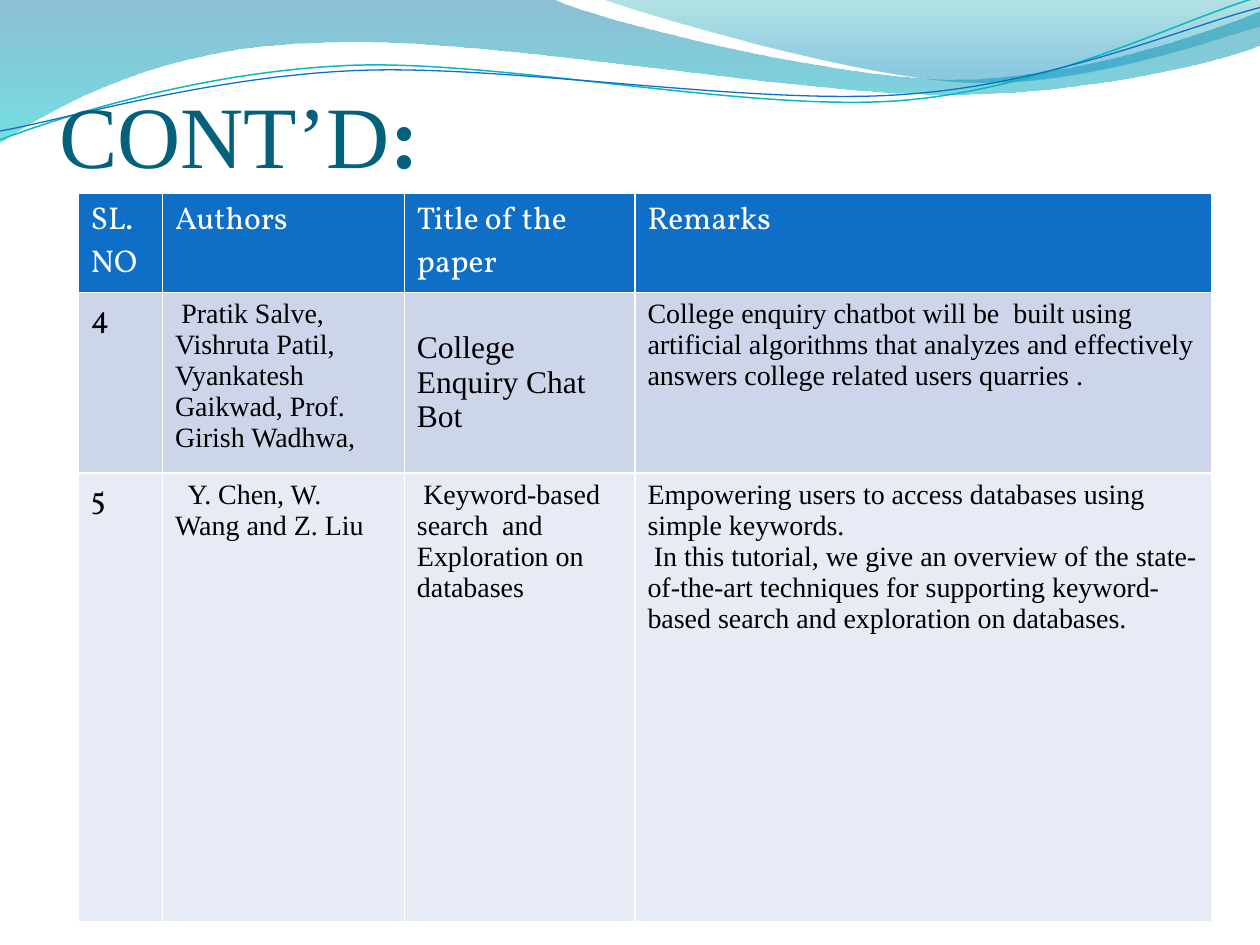
import pptx
import pptx.dml.color
import pptx.enum.text
import pptx.oxml
import pptx.oxml.ns
import pptx.util
from lxml import etree

SERIF, HEAD = "Times New Roman", "Vollkorn"
WHITE, BLACK, BLUE = "FFFFFF", "000000", "0F6FC6"
COLUMNS, ROWS = 10, 7.5


def rgb(value):
    """Turn a hex string into a colour."""
    return pptx.dml.color.RGBColor.from_string(value)


def child(parent, tag, **attrs):
    """Append a DrawingML element."""
    return etree.SubElement(parent, pptx.oxml.ns.qn(tag), **attrs)


class Deck:
    """Holds the style and the current slide on a grid of 10 by 7.5 units."""

    def __init__(self):
        """Start a presentation with one blank slide."""
        self.prs = pptx.Presentation()
        self.prs.slide_width = self.unit(COLUMNS)
        self.prs.slide_height = self.unit(ROWS)
        self.slide = self.prs.slides.add_slide(self.prs.slide_layouts[6])

    def unit(self, count):
        """Convert grid units to a length."""
        return pptx.util.Inches(count)

    def font(self, font, size, color, name=SERIF):
        """Style a font."""
        font.name, font.size, font.bold = name, pptx.util.Pt(size), False
        font.color.rgb = rgb(color)

    def curve(self, start, segments, closed=False):
        """Draw an outline where six numbers make a curve and two a line."""
        numbers = [round(n * 100) for segment in (start, *segments) for n in segment]
        points = list(zip(numbers[::2], numbers[1::2]))
        builder = self.slide.shapes.build_freeform(*points[0], scale=self.unit(0.01))
        builder.add_line_segments(points[1:], close=closed)
        sp = builder.convert_to_shape()
        sp.shadow.inherit = False
        lines = iter(list(sp._element.iter(pptx.oxml.ns.qn("a:lnTo"))))
        for segment in segments:
            line = next(lines)
            if len(segment) == 6:
                bend = etree.Element(pptx.oxml.ns.qn("a:cubicBezTo"))
                line.addprevious(bend)
                for part in (line, next(lines), next(lines)):
                    bend.append(part[0])
                    part.getparent().remove(part)
        return sp

    def wave(self, start, segments, stops):
        """Draw a closed wave with a vertical translucent gradient."""
        sp = self.curve(start, segments, True)
        sp.line.fill.background()
        sp.fill.gradient()
        sp.fill.gradient_angle = 270
        for stop, (position, color, opacity) in zip(sp.fill.gradient_stops, stops):
            stop.position, stop.color.rgb = position, rgb(color)
        colors = sp._element.spPr.iter(pptx.oxml.ns.qn("a:srgbClr"))
        for element, (position, color, opacity) in zip(colors, stops):
            child(element, "a:alpha", val=str(opacity * 1000))

    def ribbon(self, start, segments, color, width):
        """Draw a thin open curve."""
        sp = self.curve(start, segments)
        sp.fill.background()
        sp.line.color.rgb, sp.line.width = rgb(color), pptx.util.Pt(width)

    def title(self, box, text, ending):
        """Write the title with a bold ending."""
        tf = self.slide.shapes.add_textbox(*map(self.unit, box)).text_frame
        tf.word_wrap = True
        tf.vertical_anchor = pptx.enum.text.MSO_ANCHOR.BOTTOM
        tf.margin_left = tf.margin_right = tf.margin_bottom = 0
        p = tf.paragraphs[0]
        for part in (text, ending):
            r = p.add_run()
            r.text = part
            self.font(r.font, 50, "04617B")
            r.font.bold = part == ending

    def cell(self, cell, text, fill, color, size, name):
        """Fill, border and write one table cell."""
        cell.fill.solid()
        cell.fill.fore_color.rgb = rgb(fill)
        properties = cell._tc.get_or_add_tcPr()
        for index, side in enumerate("LRTB"):
            line = pptx.oxml.parse_xml(f'<a:ln{side} {pptx.oxml.ns.nsdecls("a")} w="12700"/>')
            child(child(line, "a:solidFill"), "a:srgbClr", val=WHITE)
            properties.insert(index, line)
        cell.text = "\n".join(part.strip() for part in text.split("\n"))
        for p, part in zip(cell.text_frame.paragraphs, text.split("\n")):
            self.font(p.font, size, color, name)
            lead = len(part) - len(part.lstrip())
            if lead:
                p._p.get_or_add_pPr().set("indent", str(self.unit(0.05 * lead)))

    def table(self, box, widths, heights, rows, fills):
        """Draw a table with a header row and a numbered first column."""
        table = self.slide.shapes.add_table(len(rows), len(widths), *map(self.unit, box)).table
        table.horz_banding = False
        for column, width in zip(table.columns, widths):
            column.width = self.unit(width)
        for row, height, texts, fill in zip(table.rows, heights, rows, fills):
            row.height = self.unit(height)
            for index, (cell, text) in enumerate(zip(row.cells, texts)):
                header = texts is rows[0]
                heading = header or index == 0
                self.cell(cell, text, fill, WHITE if header else BLACK,
                          18 if heading else 16, HEAD if heading else SERIF)
        return table


deck = Deck()
deck.wave((0, 0), [(4.4, 0), (4.76, 0.17, 6.64, 0.63, 7.58, 0.63),
                   (8.53, 0.63, 9.58, 0.26, 10, 0.09), (10, 0.36),
                   (9.83, 0.44, 8.7, 0.76, 7.46, 0.75),
                   (6.22, 0.75, 3.82, 0.28, 2.57, 0.34),
                   (1.29, 0.36, 0.46, 0.83, 0, 1.13)],
          [(0, "0074A1", 45), (1, "00C6CF", 55)])
deck.wave((4.79, 0), [(5.09, 0.11, 6.82, 0.62, 7.69, 0.65),
                      (8.56, 0.69, 9.61, 0.32, 10, 0.21), (10, 0)],
          [(0, "00A1A9", 30), (0.8, "008BBF", 45)])
deck.ribbon((0, 1.11), [(0.48, 0.93, 1.58, 0.57, 2.77, 0.52),
                        (3.95, 0.47, 5.93, 0.89, 7.13, 0.8),
                        (8.33, 0.71, 9.38, 0.15, 9.98, -0.02)], "0AB8BF", 0.85)
deck.ribbon((0, 1.04), [(0.47, 0.96, 1.64, 0.61, 2.83, 0.56),
                        (4.03, 0.51, 5.97, 0.84, 7.17, 0.75),
                        (8.36, 0.67, 9.41, 0.21, 10, 0.06)], BLUE, 0.75)
deck.title((0.47, 0.23, 5.97, 1.25), "CONT’D", ":")
papers = deck.table(
    (0.62, 1.53, 9, 5.69), (0.67, 1.92, 1.83, 4.58), (0.79, 1.34, 3.56),
    [("SL.NO", "Authors", "Title of the paper", "Remarks"),
     ("4", " Pratik Salve, Vishruta Patil, Vyankatesh Gaikwad, Prof. Girish Wadhwa,",
      "College Enquiry Chat Bot",
      "College enquiry chatbot will be  built using artificial algorithms that analyzes "
      "and effectively answers college related users quarries ."),
     ("5", "  Y. Chen, W. Wang and Z. Liu",
      " Keyword-based search  and Exploration on databases",
      "Empowering users to access databases using simple keywords.\n"
      " In this tutorial, we give an overview of the state-of-the-art techniques for "
      "supporting keyword-based search and exploration on databases.")],
    (BLUE, "CCD5EA", "E7EBF5"))
chatbot = papers.cell(1, 2)
chatbot.margin_top = deck.unit(0.3)
chatbot.text_frame.paragraphs[0].font.size = pptx.util.Pt(18)
deck.prs.save("out.pptx")
